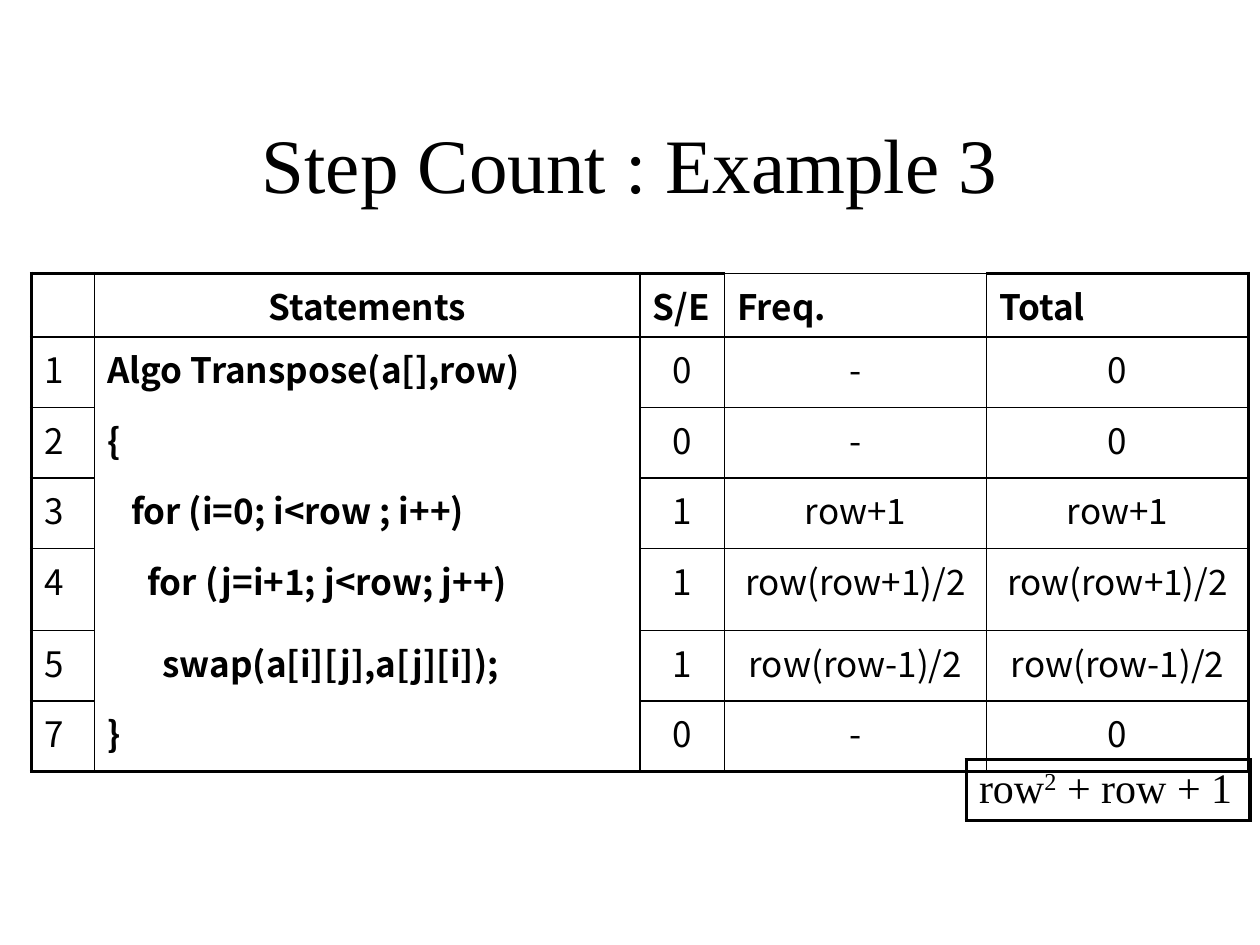
from lxml import etree
from pptx import Presentation
from pptx.dml.color import RGBColor
from pptx.enum.text import MSO_ANCHOR, PP_ALIGN
from pptx.oxml.ns import qn
from pptx.util import Inches, Pt

LEFT, CENTER = PP_ALIGN.LEFT, PP_ALIGN.CENTER
MIDDLE = MSO_ANCHOR.MIDDLE
COLORS = {"ink": "000000"}
SANS, SERIF = "Noto Sans CJK SC", "Times New Roman"
THIN, THICK = 1, 2.25


def style(para, face, size, bold=False, align=LEFT):
    para.alignment = align
    for run in para.runs:
        font = run.font
        font.name, font.size, font.bold = face, Pt(size), bold
        font.color.rgb = RGBColor.from_string(COLORS["ink"])


def frame(cell, left, right, top, bottom):
    """Clear the cell fill and draw its borders in points; 0 means no line."""
    props = cell._tc.get_or_add_tcPr()
    for side, width in zip("LRTB", (left, right, top, bottom)):
        line = etree.SubElement(props, qn(f"a:ln{side}"), w=str(Pt(width)))
        if width:
            fill = etree.SubElement(line, qn("a:solidFill"))
            etree.SubElement(fill, qn("a:srgbClr"), val=COLORS["ink"])
        else:
            etree.SubElement(line, qn("a:noFill"))
    cell.fill.background()


prs = Presentation()
prs.slide_width, prs.slide_height = Inches(10), Inches(7.5)
slide = prs.slides.add_slide(prs.slide_layouts[5])

# Title
title = slide.shapes.title
title.left, title.top = Inches(0.75), Inches(0.67)
title.width, title.height = Inches(8.5), Inches(1.25)
title.text_frame.text = "Step Count : Example 3"
title.text_frame.vertical_anchor = MIDDLE
style(title.text_frame.paragraphs[0], SERIF, 44, align=CENTER)

# Step count table
ROWS = [
    ("", "Statements", "S/E", "Freq.", "Total"),
    ("1", "Algo Transpose(a[],row)", "0", "-", "0"),
    ("2", "{", "0", "-", "0"),
    ("3", "for (i=0; i<row ; i++)", "1", "row+1", "row+1"),
    ("4", "for (j=i+1; j<row; j++)", "1", "row(row+1)/2", "row(row+1)/2"),
    ("5", "swap(a[i][j],a[j][i]);", "1", "row(row-1)/2", "row(row-1)/2"),
    ("7", "}", "0", "-", "0"),
]
WIDTHS = [0.5, 4.33, 0.67, 2.08, 2.08]
HEIGHTS = [0.33, 0.56, 0.56, 0.56, 0.65, 0.56, 0.56]
INDENTS = {3: 0.19, 4: 0.32, 5: 0.44}
CODE, FREQ = 1, 3
last_row, last_col = len(ROWS) - 1, len(WIDTHS) - 1

steps = slide.shapes.add_table(
    len(ROWS), len(WIDTHS), Inches(0.25), Inches(2.17), Inches(9.67), Inches(3.86)
).table
steps.first_row = steps.horz_banding = False
for col, width in zip(steps.columns, WIDTHS):
    col.width = Inches(width)
for row, height in zip(steps.rows, HEIGHTS):
    row.height = Inches(height)

for r, texts in enumerate(ROWS):
    for c, text in enumerate(texts):
        cell = steps.cell(r, c)
        cell.text_frame.text = text
        head, code = r == 0, c == CODE
        mid = code if head else c > CODE
        style(cell.text_frame.paragraphs[0], SANS, 20, head or code,
              CENTER if mid else LEFT)
        if code and r in INDENTS:
            cell.margin_left = Inches(0.1 + INDENTS[r])
        top = THICK if head and c != FREQ else THIN
        bottom = THICK if r == last_row else THIN
        if code and r > 1:
            top = 0
        if code and 0 < r < last_row:
            bottom = 0
        frame(cell, THICK if c == 0 else THIN,
              THICK if c == last_col else THIN, top, bottom)

# Sum of the steps
total = slide.shapes.add_table(
    1, 1, Inches(7.67), Inches(6.03), Inches(2.25), Inches(0.48)
).table
total.first_row = total.horz_banding = False
cell = total.cell(0, 0)
para = cell.text_frame.paragraphs[0]
for text in ("row", "2", " + row + 1"):
    para.add_run().text = text
style(para, SERIF, 24)
para.runs[1]._r.get_or_add_rPr().set("baseline", "30000")
frame(cell, THICK, THICK, THICK, THICK)

prs.save("out.pptx")
